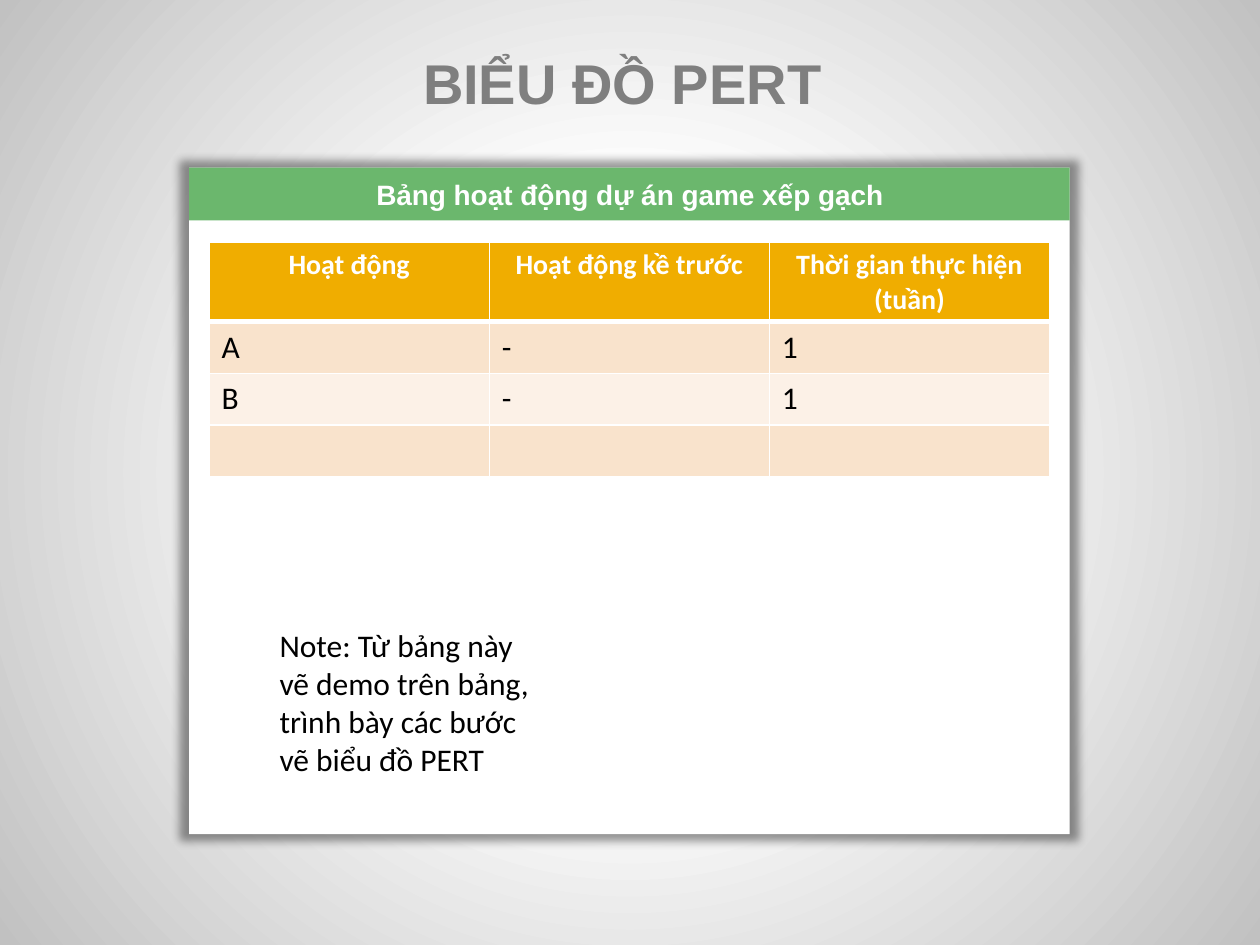
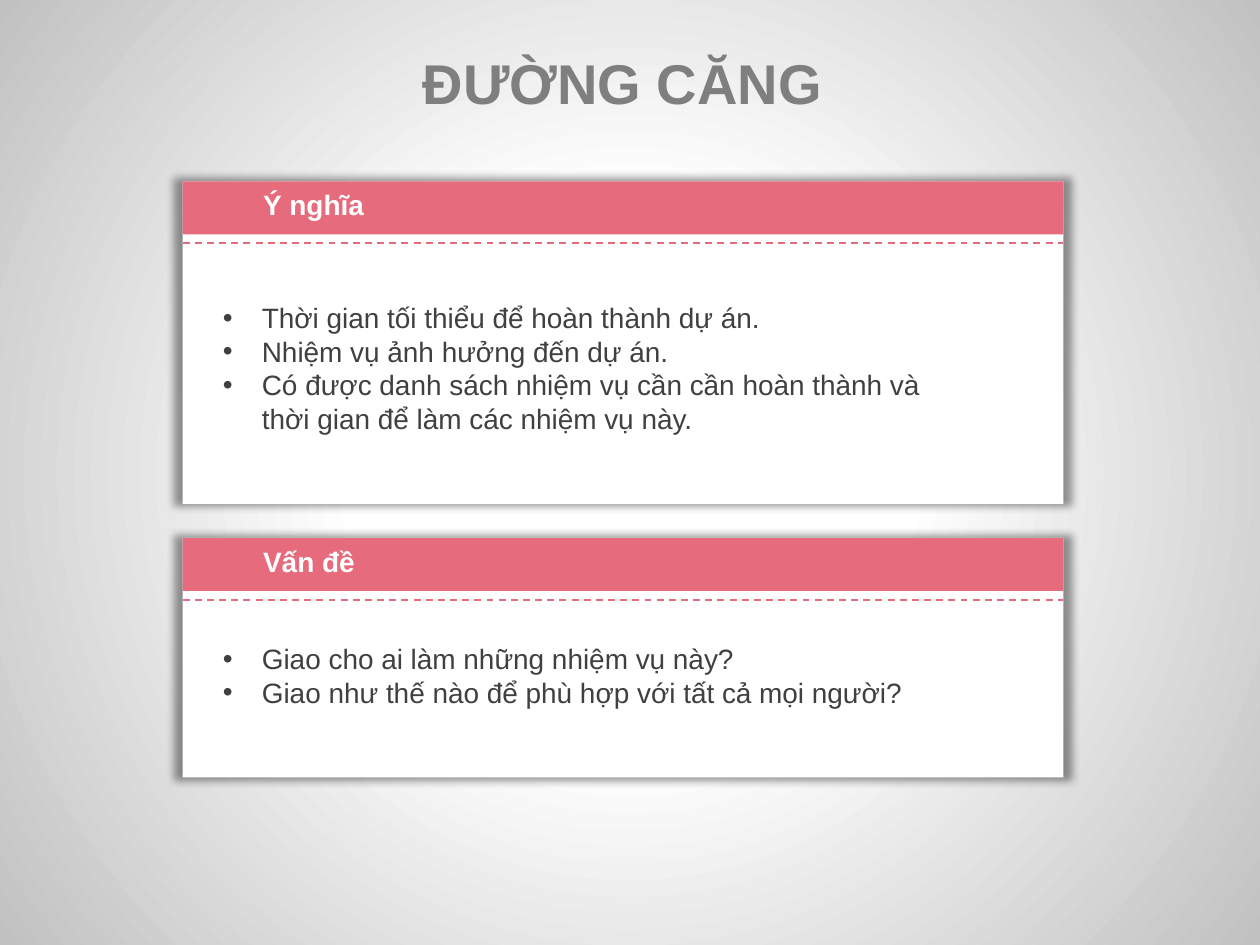
from dataclasses import dataclass

from pptx import Presentation
from pptx.dml.color import RGBColor
from pptx.enum.dml import MSO_LINE
from pptx.enum.shapes import MSO_CONNECTOR, MSO_SHAPE
from pptx.enum.text import MSO_ANCHOR as Anchor, PP_ALIGN as Align
from pptx.oxml import parse_xml
from pptx.oxml.ns import nsdecls, qn
from pptx.shapes.autoshape import Shape
from pptx.slide import Slide
from pptx.text.text import TextFrame
from pptx.util import Inches, Pt

WHITE, BLACK = "FFFFFF", "000000"
GRAY, DARK = "7F7F7F", "404040"
GREEN, PINK, AMBER = "6BB76D", "E66C7D", "F0AD00"
STRIPES = ("F9E3CC", "FCF1E7")
WIDE, BAND = 6.99, 0.42
INDENT = Inches(0.31)
NS = nsdecls("a")

BACK = f"""<p:bg {nsdecls("p", "a")}><p:bgPr><a:gradFill rotWithShape="1"><a:gsLst>
<a:gs pos="0"><a:srgbClr val="FFFFFF"/></a:gs>
<a:gs pos="35000"><a:srgbClr val="FFFFFF"/></a:gs>
<a:gs pos="100000"><a:srgbClr val="C1C1C1"/></a:gs></a:gsLst>
<a:path path="circle"><a:fillToRect l="50000" t="50000" r="50000" b="50000"/></a:path>
</a:gradFill><a:effectLst/></p:bgPr></p:bg>"""

GLOW = f"""<a:effectLst {NS}><a:outerShdw blurRad="63500" sx="102000" sy="102000"
algn="ctr" rotWithShape="0"><a:srgbClr val="000000"><a:alpha val="40000"/></a:srgbClr>
</a:outerShdw></a:effectLst>"""


@dataclass
class Box:
    left: float
    top: float
    width: float
    height: float

    def emu(self) -> tuple:
        return tuple(map(Inches, (self.left, self.top, self.width, self.height)))


@dataclass
class Style:
    size: int
    color: str
    bold: bool = False
    font: str = "Arial"
    align: Align = Align.LEFT


@dataclass
class Topic:
    """A pink card with a heading and a bulleted list."""
    top: float
    height: float
    head: str
    body: Box
    points: list[str]


TITLE = Style(32, GRAY, True, align=Align.CENTER)
HEAD = Style(16, WHITE, True)
CAPTION = Style(16, WHITE, True, align=Align.CENTER)
POINT = Style(16, DARK)
COLUMN = Style(16, WHITE, True, "Calibri", Align.CENTER)
PLAIN = Style(18, BLACK, font="Calibri")

ROWS = [
    ("Hoạt động", "Hoạt động kề trước", "Thời gian thực hiện (tuần)"),
    ("A", "-", "1"),
    ("B", "-", "1"),
    ("", "", ""),
]
TOPICS = [
    Topic(1.44, 2.56, "Ý nghĩa", Box(1.67, 2.33, 5.75, 1.18), [
        "Thời gian tối thiểu để hoàn thành dự án.",
        "Nhiệm vụ ảnh hưởng đến dự án.",
        "Có được danh sách nhiệm vụ cần cần hoàn thành và thời gian để làm các nhiệm vụ này.",
    ]),
    Topic(4.27, 1.9, "Vấn đề", Box(1.67, 5.04, 5.75, 0.64), [
        "Giao cho ai làm những nhiệm vụ này?",
        "Giao như thế nào để phù hợp với tất cả mọi người?",
    ]),
]


def rgb(color: str) -> RGBColor:
    return RGBColor.from_string(color)


def write(frame: TextFrame, text: str, style: Style) -> None:
    frame.text = text
    for para in frame.paragraphs:
        para.alignment = style.align
        for run in para.runs:
            font = run.font
            font.name, font.size, font.bold = style.font, Pt(style.size), style.bold
            font.color.rgb = rgb(style.color)


def add_text(slide: Slide, box: Box, text: str, style: Style,
             anchor: Anchor = Anchor.MIDDLE, wrap: bool = True) -> TextFrame:
    frame = slide.shapes.add_textbox(*box.emu()).text_frame
    frame.word_wrap, frame.vertical_anchor = wrap, anchor
    write(frame, text, style)
    return frame


def add_rect(slide: Slide, box: Box, color: str) -> Shape:
    rect = slide.shapes.add_shape(MSO_SHAPE.RECTANGLE, *box.emu())
    rect.shadow.inherit = False
    rect.fill.solid()
    rect.fill.fore_color.rgb = rgb(color)
    rect.line.fill.background()
    return rect


def add_card(slide: Slide, box: Box, color: str) -> None:
    """Draw a white card with a soft glow and a coloured band on top."""
    props = add_rect(slide, box, WHITE).element.spPr
    props.replace(props.find(qn("a:effectLst")), parse_xml(GLOW))
    add_rect(slide, Box(box.left, box.top, box.width, BAND), color)


def add_dash(slide: Slide, left: float, top: float) -> None:
    start, end, level = Inches(left), Inches(left + WIDE), Inches(top)
    line = slide.shapes.add_connector(MSO_CONNECTOR.STRAIGHT, start, level, end, level)
    line.line.color.rgb = rgb(PINK)
    line.line.width = Pt(1)
    line.line.dash_style = MSO_LINE.DASH
    line.element.spPr.append(parse_xml(f"<a:effectLst {NS}/>"))


def add_points(slide: Slide, box: Box, points: list[str]) -> None:
    frame = add_text(slide, box, "\n".join(points), POINT)
    for para in frame.paragraphs:
        props = para._p.get_or_add_pPr()
        props.set("marL", str(INDENT))
        props.set("indent", str(-INDENT))
        props.append(parse_xml(f'<a:buFont {NS} typeface="Arial"/>'))
        props.append(parse_xml(f'<a:buChar {NS} char="•"/>'))


def add_grid(slide: Slide, box: Box) -> None:
    table = slide.shapes.add_table(len(ROWS), len(ROWS[0]), *box.emu()).table
    for num, texts in enumerate(ROWS):
        table.rows[num].height = Inches(0.41 if num else 0.62)
        for col, text in enumerate(texts):
            cell = table.cell(num, col)
            write(cell.text_frame, text, PLAIN if num else COLUMN)
            for side in "LRTB":
                thick = (num, side) in ((0, "B"), (1, "T"))
                cell._tc.get_or_add_tcPr().append(parse_xml(
                    f'<a:ln{side} {NS} w="{Pt(3 if thick else 1)}"><a:solidFill>'
                    f'<a:srgbClr val="{WHITE}"/></a:solidFill></a:ln{side}>'))
            cell.fill.solid()
            cell.fill.fore_color.rgb = rgb(STRIPES[(num - 1) % 2] if num else AMBER)


def add_slide(prs: Presentation, title: str) -> Slide:
    slide = prs.slides.add_slide(prs.slide_layouts[6])
    add_text(slide, Box(3.24, 0.33, 3.4, 0.64), title, TITLE, wrap=False)
    return slide


def draw_pert(prs: Presentation) -> None:
    slide = add_slide(prs, "BIỂU ĐỒ PERT")
    add_card(slide, Box(1.5, 1.33, WIDE, 5.29), GREEN)
    add_text(slide, Box(2.04, 1.36, 5.92, 0.37),
             "Bảng hoạt động dự án game xếp gạch", CAPTION)
    add_grid(slide, Box(1.66, 1.92, 6.67, 1.85))
    add_text(slide, Box(2.12, 4.92, 2.25, 1.31),
             "Note: Từ bảng này vẽ demo trên bảng, trình bày các bước vẽ biểu đồ PERT",
             PLAIN, Anchor.TOP)


def draw_path(prs: Presentation) -> None:
    slide = add_slide(prs, "ĐƯỜNG CĂNG")
    left = 1.45
    for topic in TOPICS:
        add_card(slide, Box(left, topic.top, WIDE, topic.height), PINK)
        add_dash(slide, left, topic.top + 0.49)
        add_points(slide, topic.body, topic.points)
        add_text(slide, Box(1.99, topic.top, 6.09, 0.37), topic.head, HEAD)


def main() -> None:
    prs = Presentation()
    prs.slide_width, prs.slide_height = Inches(10), Inches(7.5)
    base = prs.slide_master.element.cSld
    base.replace(base.find(qn("p:bg")), parse_xml(BACK))
    draw_pert(prs)
    draw_path(prs)
    prs.save("out.pptx")


if __name__ == "__main__":
    main()
